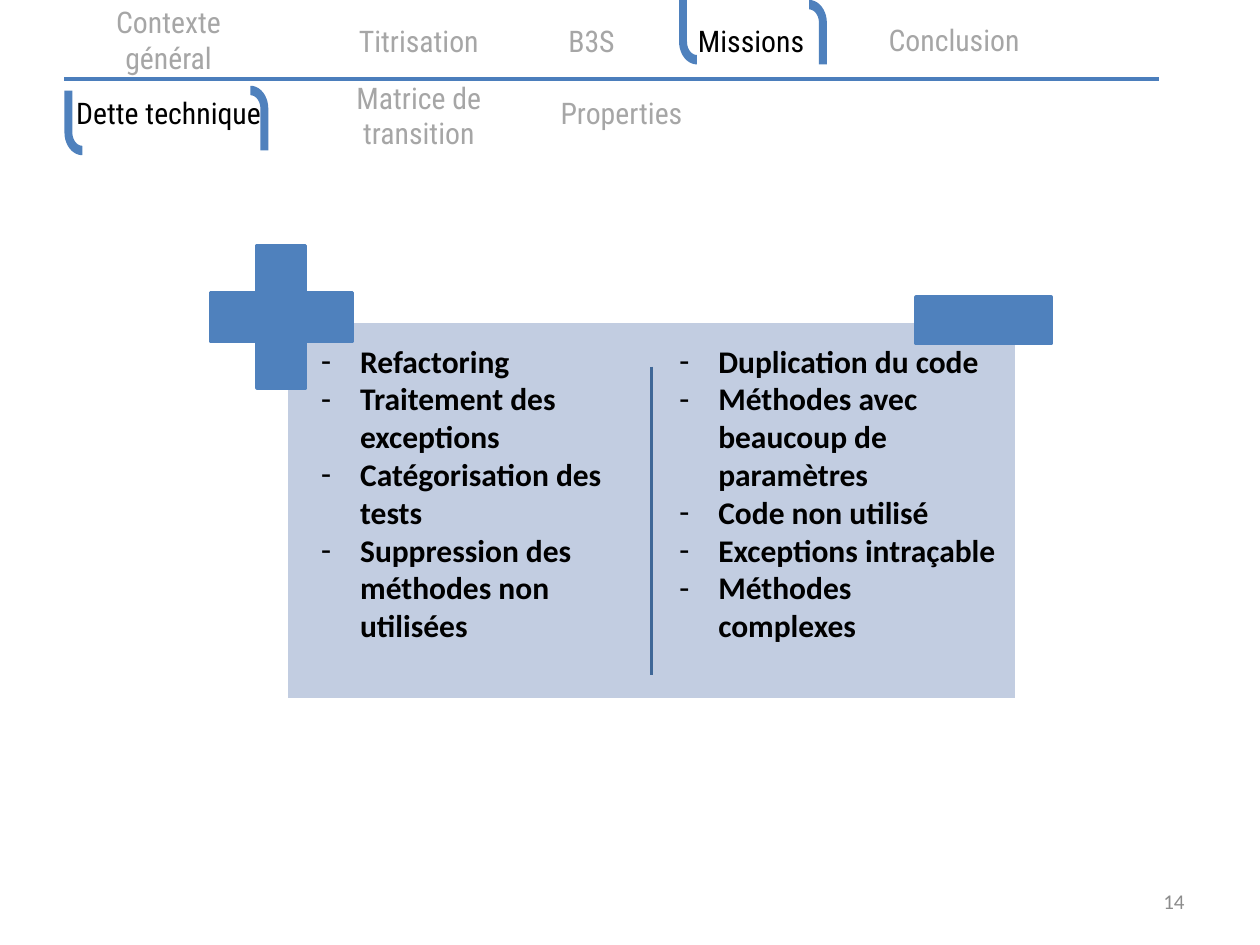
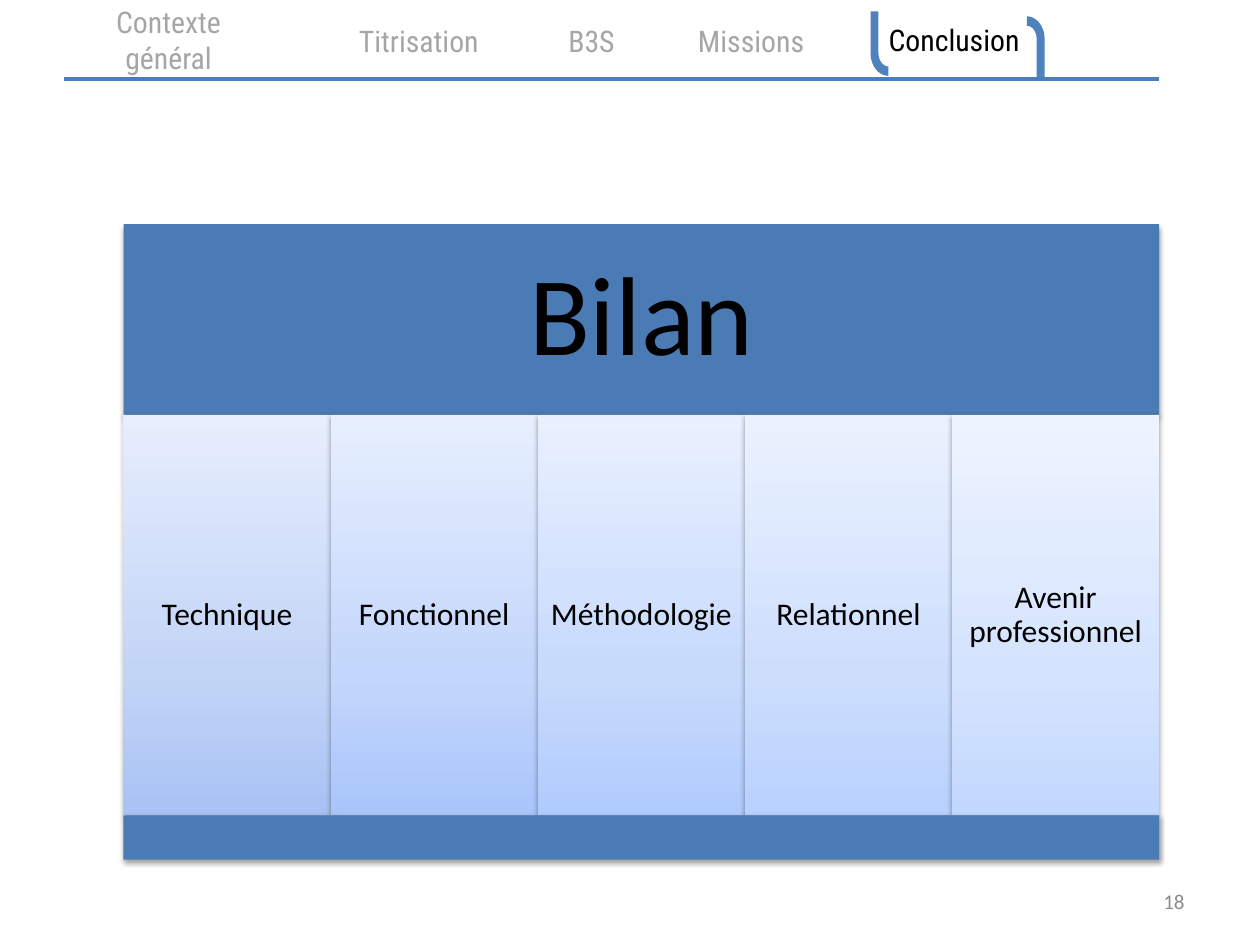
from math import cos, pi, sin

from lxml.etree import SubElement
from pptx import Presentation
from pptx.dml.color import RGBColor
from pptx.enum.shapes import MSO_CONNECTOR, MSO_SHAPE as Shape
from pptx.enum.text import MSO_ANCHOR, MSO_AUTO_SIZE, PP_ALIGN as Align
from pptx.oxml.ns import qn
from pptx.util import Cm, Pt


def color(value):
    return RGBColor.from_string(value)


def quarter(cx, cy, rx, ry, steps=10):
    angles = [pi / 2 * step / steps for step in range(steps + 1)]
    return [(cx - rx * cos(angle), cy + ry * sin(angle)) for angle in angles]


class Deck:
    BLUE, RULE, BAND = "4F81BD", "4B7EBC", "4B7BB5"
    PANEL, DIVIDER = "C2CDE1", "3F6797"
    BLACK, WHITE, MUTED, PAGE = "000000", "FFFFFF", "A6A6A6", "8C8C8C"
    BODY_FONT, TAB_FONT = "Calibri", "Roboto Condensed"
    TWO_CONTENT, TITLE_ONLY = 3, 5
    HOOK_WIDTH, HOOK_HEIGHT = 0.36, 1.3
    SECTIONS = [
        ("B3S", 9.78, 0.2, 4.29, Align.CENTER, 0),
        ("Missions", 14.07, 0.2, 3.53, Align.LEFT, 0),
        ("Contexte général", 1.24, 0.18, 4.32, Align.CENTER, 0.25),
        ("Titrisation", 6.3, 0.2, 4.29, Align.CENTER, 0),
        ("Conclusion", 17.09, 0.18, 4.29, Align.CENTER, 0),
    ]

    def __init__(self):
        self.prs = Presentation()
        self.prs.slide_width, self.prs.slide_height = Cm(25.4), Cm(19.05)
        self.slide = None

    def new_slide(self, layout, page, active, hooks):
        self.slide = self.prs.slides.add_slide(self.prs.slide_layouts[layout])
        number = self.textbox(18.21, 17.65, 5.92, 1.02)
        self.set_text(number, [page], 12, self.PAGE, align=Align.RIGHT)
        for section in self.SECTIONS:
            self.tab(*section, active=section[0] == active)
        self.hooks(*hooks)
        self.line(1.3, 1.6, 23.37, 1.6, self.RULE, 2.25)

    def textbox(self, *area):
        return self.slide.shapes.add_textbox(*map(Cm, area))

    def placeholder(self, index, *area):
        holder = self.slide.placeholders[index]
        holder.left, holder.top, holder.width, holder.height = map(Cm, area)
        return holder

    def set_text(self, shape, lines, size, ink, font=BODY_FONT, bold=False,
                 align=Align.CENTER, anchor=MSO_ANCHOR.MIDDLE, inset=0.25, spacing=1.0):
        frame = shape.text_frame
        frame.text = "\n".join(lines)
        frame.word_wrap, frame.auto_size = True, MSO_AUTO_SIZE.NONE
        frame.vertical_anchor = anchor
        frame.margin_left = frame.margin_right = Cm(inset)
        frame.margin_top = frame.margin_bottom = Cm(inset / 2)
        for paragraph in frame.paragraphs:
            paragraph.alignment, paragraph.line_spacing = align, spacing
            paragraph.space_before = Pt(0)
            paragraph.font.name, paragraph.font.size = font, Pt(size)
            paragraph.font.bold = bold
            paragraph.font.color.rgb = color(ink)

    def tab(self, label, x, y, width, align, inset, active=False, title=False):
        area = x, y, width, 1.24
        shape = self.placeholder(0, *area) if title else self.textbox(*area)
        self.set_text(shape, [label], 17, self.BLACK if active else self.MUTED,
                      self.TAB_FONT, align=align, inset=inset)

    def hooks(self, opening, closing):
        width, height = self.HOOK_WIDTH, self.HOOK_HEIGHT
        outer = quarter(width, 0.84, width, height - 0.84)
        inner = quarter(width, 0.84, 0.2, 0.27)
        outline = [(0, 0), *outer, *reversed(inner), (0.16, 0)]
        turned = [(width - x, height - y) for x, y in outline]
        for (left, top), points in ((opening, outline), (closing, turned)):
            corners = [(Cm(left + x), Cm(top + y)) for x, y in points]
            builder = self.slide.shapes.build_freeform(*corners[0])
            builder.add_line_segments(corners[1:])
            self.paint(builder.convert_to_shape(), self.BLUE)

    def paint(self, shape, fill, outline=None):
        shape.shadow.inherit = False
        shape.fill.solid()
        shape.fill.fore_color.rgb = color(fill)
        if outline:
            shape.line.color.rgb = color(outline)
            shape.line.width = Pt(2)
        else:
            shape.line.fill.background()
        return shape

    def block(self, kind, area, fill, outline=None):
        shape = self.slide.shapes.add_shape(kind, *map(Cm, area))
        return self.paint(shape, fill, outline)

    def line(self, x1, y1, x2, y2, ink, width):
        rule = self.slide.shapes.add_connector(
            MSO_CONNECTOR.STRAIGHT, *map(Cm, (x1, y1, x2, y2)))
        rule.line.color.rgb, rule.line.width = color(ink), Pt(width)
        SubElement(rule._element.spPr, qn("a:effectLst"))

    def dash_list(self, index, area, items):
        holder = self.placeholder(index, *area)
        self.slide.shapes._spTree.append(holder._element)
        self.set_text(holder, items, 18, self.BLACK, bold=True,
                      align=Align.LEFT, anchor=MSO_ANCHOR.TOP)
        for paragraph in holder.text_frame.paragraphs:
            props = paragraph._p.get_or_add_pPr()
            props.set("marL", str(Cm(0.79)))
            props.set("indent", str(-Cm(0.79)))
            bullet = props.makeelement(qn("a:buChar"), {"char": "-"})
            props.find(qn("a:defRPr")).addprevious(bullet)

    def drop_shadow(self, shape):
        effects = shape._element.spPr.find(qn("a:effectLst"))
        shadow = SubElement(effects, qn("a:outerShdw"), blurRad=str(Pt(3.1)),
                            dist=str(Pt(1.6)), dir="5400000", rotWithShape="0")
        ink = SubElement(shadow, qn("a:srgbClr"), val=self.BLACK)
        SubElement(ink, qn("a:alpha"), val="38000")

    def gradient(self, shape, inks):
        shape.fill.gradient()
        shape.fill.gradient_angle = 90
        stops = shape._element.spPr.find(".//" + qn("a:gsLst"))
        for stop in list(stops):
            stops.remove(stop)
        for position, ink in zip((0, 35, 100), inks):
            stop = SubElement(stops, qn("a:gs"), pos=str(position * 1000))
            SubElement(stop, qn("a:srgbClr"), val=ink)


def technical_debt(deck):
    deck.new_slide(deck.TWO_CONTENT, "14", "Missions", ((13.69, 0), (16.31, 0)))
    deck.tab("Properties", 11.3, 1.65, 3.53, Align.LEFT, 0)
    deck.tab("Dette technique", 1.24, 1.65, 4.32, Align.CENTER, 0.25, active=True, title=True)
    deck.tab("Matrice de transition", 6.3, 1.7, 4.29, Align.CENTER, 0)
    deck.hooks((1.3, 1.83), (5.05, 1.73))

    deck.block(Shape.RECTANGLE, (5.77, 6.48, 14.73, 7.62), deck.PANEL, deck.WHITE)
    plus = deck.block(Shape.CROSS, (4.24, 4.95, 2.87, 2.87), deck.BLUE, deck.BLUE)
    plus.adjustments[0] = 0.33
    deck.block(Shape.RECTANGLE, (18.47, 5.99, 2.72, 0.94), deck.BLUE, deck.BLUE)
    deck.line(13.13, 7.39, 13.13, 13.61, deck.DIVIDER, 2)
    deck.dash_list(2, (13.44, 6.76, 6.88, 7.19), [
        "Duplication du code",
        "Méthodes avec beaucoup de paramètres",
        "Code non utilisé",
        "Exceptions intraçable",
        "Méthodes complexes",
    ])
    deck.dash_list(1, (6.22, 6.76, 6.88, 6.4), [
        "Refactoring",
        "Traitement des exceptions",
        "Catégorisation des tests",
        "Suppression des méthodes non utilisées",
    ])


def conclusion(deck):
    deck.new_slide(deck.TITLE_ONLY, "18", "Conclusion", ((17.55, 0.23), (20.7, 0.33)))
    left, width = 2.49, 20.88
    heading = deck.paint(deck.placeholder(0, left, 4.52, width, 3.84), deck.BAND)
    deck.set_text(heading, ["Bilan"], 64, deck.BLACK, inset=0.69, spacing=0.9)
    deck.drop_shadow(heading)

    pillars = [
        ("Technique", ("A8C2F4", "C2D4F6", "E7EEFD")),
        ("Fonctionnel", ("A9C5FB", "C3D6FB", "E7EFFF")),
        ("Méthodologie", ("B0CBFD", "C7DAFC", "E9F0FF")),
        ("Relationnel", ("B9D1FE", "CDDEFD", "EBF2FF")),
        ("Avenir professionnel", ("C3D8FE", "D4E3FE", "EEF4FF")),
    ]
    step = width / len(pillars)
    for column, (label, inks) in enumerate(pillars):
        pillar = deck.block(Shape.RECTANGLE, (left + column * step, 8.36, step, 8.08), inks[0])
        deck.gradient(pillar, inks)
        deck.set_text(pillar, [label], 18, deck.BLACK, inset=0.18, spacing=0.9)
        deck.drop_shadow(pillar)
    base = deck.block(Shape.RECTANGLE, (left, 16.44, width, 0.89), deck.BAND)
    deck.drop_shadow(base)


def main():
    deck = Deck()
    technical_debt(deck)
    conclusion(deck)
    deck.prs.save("out.pptx")


if __name__ == "__main__":
    main()
